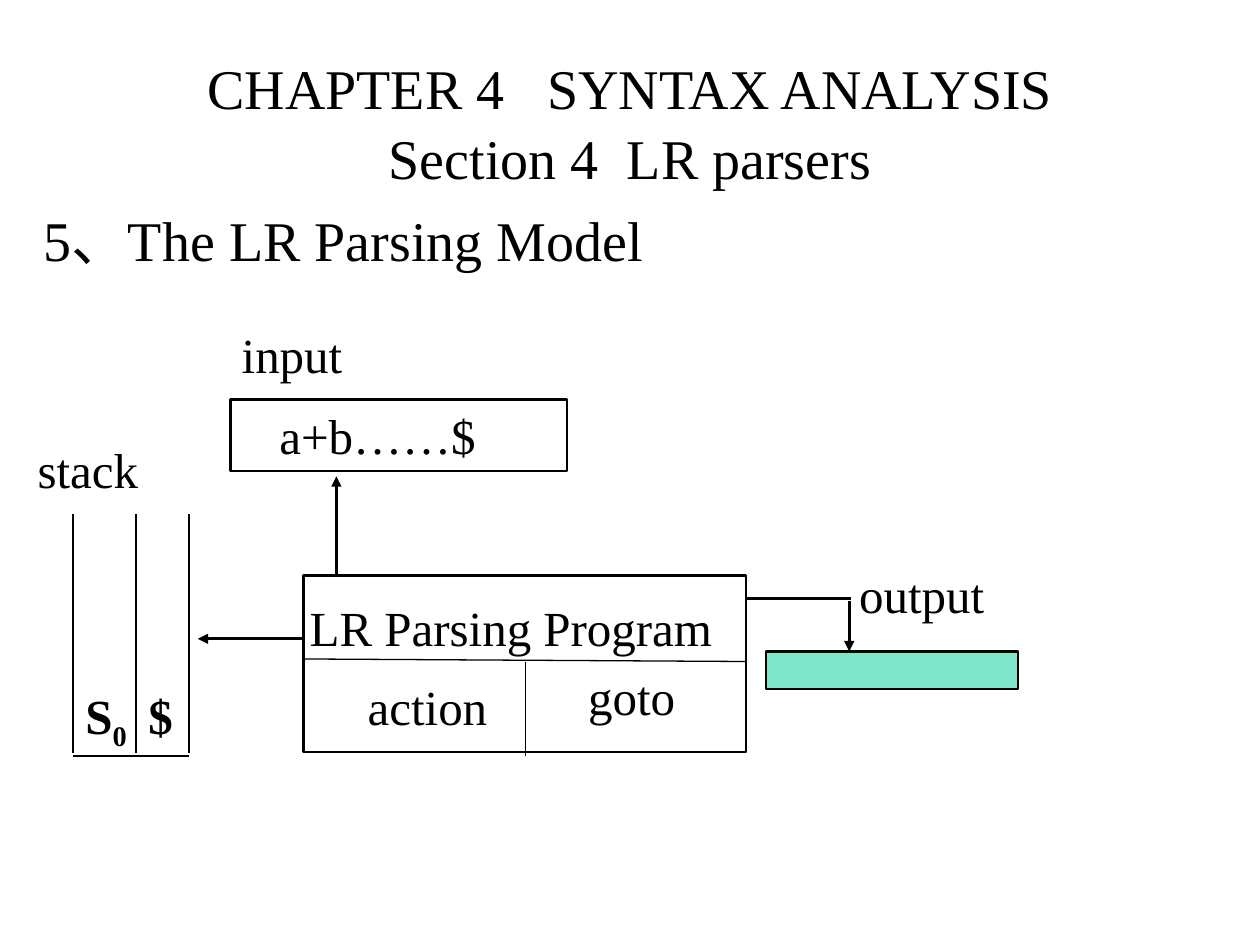
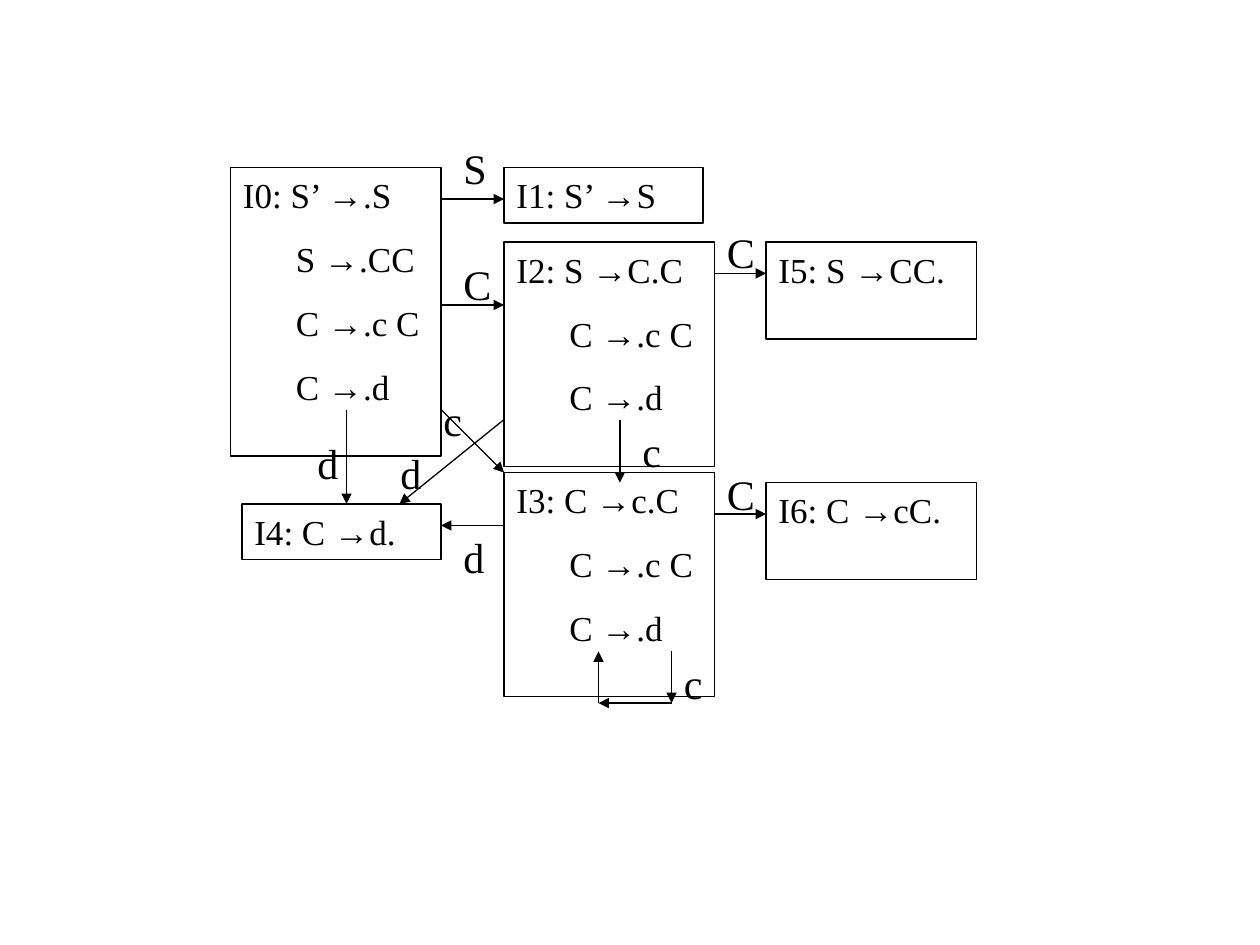
import pptx
import pptx.util
import pptx.dml.color
import pptx.enum.shapes
import pptx.enum.text
from pptx.util import Inches
from lxml import etree

A = "http://schemas.openxmlformats.org/drawingml/2006/main"
BLACK, MINT = "000000", "00CC99"
SERIF, SANS = "Times New Roman", "Arial"
HEADING, DIAGRAM, EDGE, ITEM = 32, 28, 24, 20
THICK, THIN = 1.5, 0.75


def color(value):
    return pptx.dml.color.RGBColor.from_string(value)


def child(parent, tag, **attributes):
    return etree.SubElement(parent, f"{{{A}}}{tag}", **attributes)


class Deck:
    def __init__(self):
        self.prs = pptx.Presentation()
        self.prs.slide_width, self.prs.slide_height = Inches(10), Inches(7.5)

    def new_slide(self):
        self.s = self.prs.slides.add_slide(self.prs.slide_layouts[6])

    def run(self, p, text, size, font=SERIF, bold=False, gap=0, baseline=0):
        r = p.add_run()
        r.text = text
        r.font.name, r.font.size, r.font.bold = font, pptx.util.Pt(size), bold
        r.font.color.rgb = color(BLACK)
        rPr = r._r.get_or_add_rPr()
        if gap:
            rPr.set("spc", str(gap * 100))
        if baseline:
            rPr.set("baseline", str(baseline * 1000))

    def indent(self, p, left, first=0):
        pPr = p._p.get_or_add_pPr()
        pPr.set("marL", str(Inches(left)))
        pPr.set("indent", str(Inches(first)))
        return pPr

    def text(self, x, y, w, h, content="", size=DIAGRAM, wrap=False):
        sp = self.s.shapes.add_textbox(Inches(x), Inches(y), Inches(w), Inches(h))
        tf = sp.text_frame
        tf.word_wrap = wrap
        p = tf.paragraphs[0]
        if content:
            self.run(p, content, size)
        return tf, p

    def box(self, x, y, w, h, width=THICK, fill=None, alpha=100):
        sp = self.s.shapes.add_shape(
            pptx.enum.shapes.MSO_SHAPE.RECTANGLE,
            Inches(x), Inches(y), Inches(w), Inches(h))
        sp.shadow.inherit = False
        sp.line.color.rgb = color(BLACK)
        sp.line.width = pptx.util.Pt(width)
        if fill:
            sp.fill.solid()
            sp.fill.fore_color.rgb = color(fill)
            tint = next(sp._element.spPr.iter(f"{{{A}}}srgbClr"))
            child(tint, "alpha", val=str(alpha * 1000))
        else:
            sp.fill.background()
        tf = sp.text_frame
        tf.word_wrap = True
        tf.vertical_anchor = pptx.enum.text.MSO_ANCHOR.TOP
        tf.paragraphs[0].alignment = pptx.enum.text.PP_ALIGN.LEFT
        return tf

    def line(self, x1, y1, x2, y2, width=THIN, arrow=False):
        c = self.s.shapes.add_connector(
            pptx.enum.shapes.MSO_CONNECTOR.STRAIGHT,
            Inches(x1), Inches(y1), Inches(x2), Inches(y2))
        c.line.color.rgb = color(BLACK)
        c.line.width = pptx.util.Pt(width)
        if arrow:
            child(c.line._get_or_add_ln(), "tailEnd", type="triangle")
        child(c._element.spPr, "effectLst")

    def state(self, x, y, w, h, name, *items):
        tf = self.box(x, y, w, h, THIN)
        for i, item in enumerate(items):
            p = tf.add_paragraph() if i else tf.paragraphs[0]
            if i:
                p.alignment = pptx.enum.text.PP_ALIGN.LEFT
                p.space_before = pptx.util.Pt(12.5)
                self.indent(p, 0.42)
            left, arrow, right = item.partition("→")
            self.run(p, left if i else f"{name}: {left}", ITEM)
            self.run(p, arrow, ITEM, SANS)
            self.run(p, right, ITEM)


def parsing_model(d):
    d.new_slide()
    tf, p = d.text(0.75, 0.17, 8.5, 1.58, wrap=True)
    tf.vertical_anchor = pptx.enum.text.MSO_ANCHOR.MIDDLE
    p.alignment = pptx.enum.text.PP_ALIGN.CENTER
    p.line_spacing = 1.04
    d.run(p, "CHAPTER 4", HEADING)
    d.run(p, " ", HEADING, gap=16)
    d.run(p, "SYNTAX ANALYSIS", HEADING)
    p.add_line_break()
    d.run(p, "Section 4", HEADING)
    d.run(p, " ", HEADING, gap=8)
    d.run(p, "LR parsers", HEADING)

    tf, p = d.text(0.25, 1.58, 9.25, 5.67, "5、The LR Parsing Model", HEADING, True)
    d.indent(p, 0.38, -0.38)

    d.box(2.41, 4.57, 3.51, 1.4)
    d.box(6.08, 5.17, 2, 0.3, fill=MINT, alpha=50)
    p = d.box(1.83, 3.17, 2.67, 0.57).paragraphs[0]
    d.indent(p, 0.29)
    d.run(p, "a+b……$", DIAGRAM)

    for label, x, y, w in (
            ("LR Parsing Program", 2.36, 4.69, 3.39), ("output", 6.72, 4.43, 1.19),
            ("action", 2.82, 5.32, 1.15), ("goto", 4.57, 5.24, 0.89),
            ("input", 1.82, 2.53, 1), ("stack", 0.2, 3.44, 1)):
        d.text(x, y, w, 0.57, label)

    tf, p = d.text(0.58, 5.39, 1.17, 0.57, wrap=True)
    tabs = child(d.indent(p, 0), "tabLst")
    child(tabs, "tab", pos=str(Inches(0.49)), algn="l")
    d.run(p, "S", DIAGRAM, bold=True)
    d.run(p, "0", DIAGRAM, bold=True, baseline=-25)
    d.run(p, "\t$", DIAGRAM, bold=True)

    d.line(2.67, 4.57, 2.67, 3.78, THICK, True)
    d.line(2.41, 5.07, 1.57, 5.07, THICK, True)
    d.line(5.92, 4.75, 6.75, 4.75, THICK)
    d.line(6.74, 4.77, 6.74, 5.17, THICK, True)
    for stack_wall in (0.58, 1.08, 1.5):
        d.line(stack_wall, 4.08, stack_wall, 5.98)
    d.line(0.58, 6, 1.5, 6)
    d.line(2.42, 5.23, 5.92, 5.25)
    d.line(4.17, 5.25, 4.17, 6)


def item_set_graph(d):
    d.new_slide()
    c_items = "C →.c C", "C →.d"
    d.state(1.83, 1.33, 1.67, 2.29, "I0", "S’ →.S", "S →.CC", *c_items)
    d.state(4, 1.33, 1.58, 0.44, "I1", "S’ →S")
    d.state(4, 1.92, 1.67, 1.78, "I2", "S →C.C", *c_items)
    d.state(4, 3.75, 1.67, 1.78, "I3", "C →c.C", *c_items)
    d.state(1.92, 4, 1.58, 0.44, "I4", "C →d.")
    d.state(6.08, 1.92, 1.67, 0.77, "I5", "S →CC.")
    d.state(6.08, 3.83, 1.67, 0.77, "I6", "C →cC.")

    for points in (
            (3.5, 1.58, 4, 1.58), (3.5, 2.42, 4, 2.42), (3.5, 3.25, 4, 3.75),
            (2.75, 3.25, 2.75, 4), (5.67, 2.17, 6.08, 2.17), (4, 3.33, 3.17, 4),
            (4, 4.17, 3.5, 4.17), (4.92, 3.33, 4.92, 3.83), (5.67, 4.08, 6.08, 4.08),
            (5.33, 5.17, 5.33, 5.58), (5.33, 5.58, 4.75, 5.58), (4.75, 5.58, 4.75, 5.17)):
        d.line(*points, arrow=True)

    for symbol, x, y in (
            ("S", 3.58, 1.08), ("C", 3.58, 2), ("c", 3.42, 3.08), ("d", 2.42, 3.42),
            ("C", 5.67, 1.75), ("d", 3.08, 3.5), ("d", 3.58, 4.17), ("c", 5, 3.33),
            ("C", 5.67, 3.67), ("c", 5.33, 5.17)):
        d.text(x, y, 0.42, 0.5, symbol, EDGE, True)


def main():
    d = Deck()
    parsing_model(d)
    item_set_graph(d)
    d.prs.save("out.pptx")


if __name__ == "__main__":
    main()
